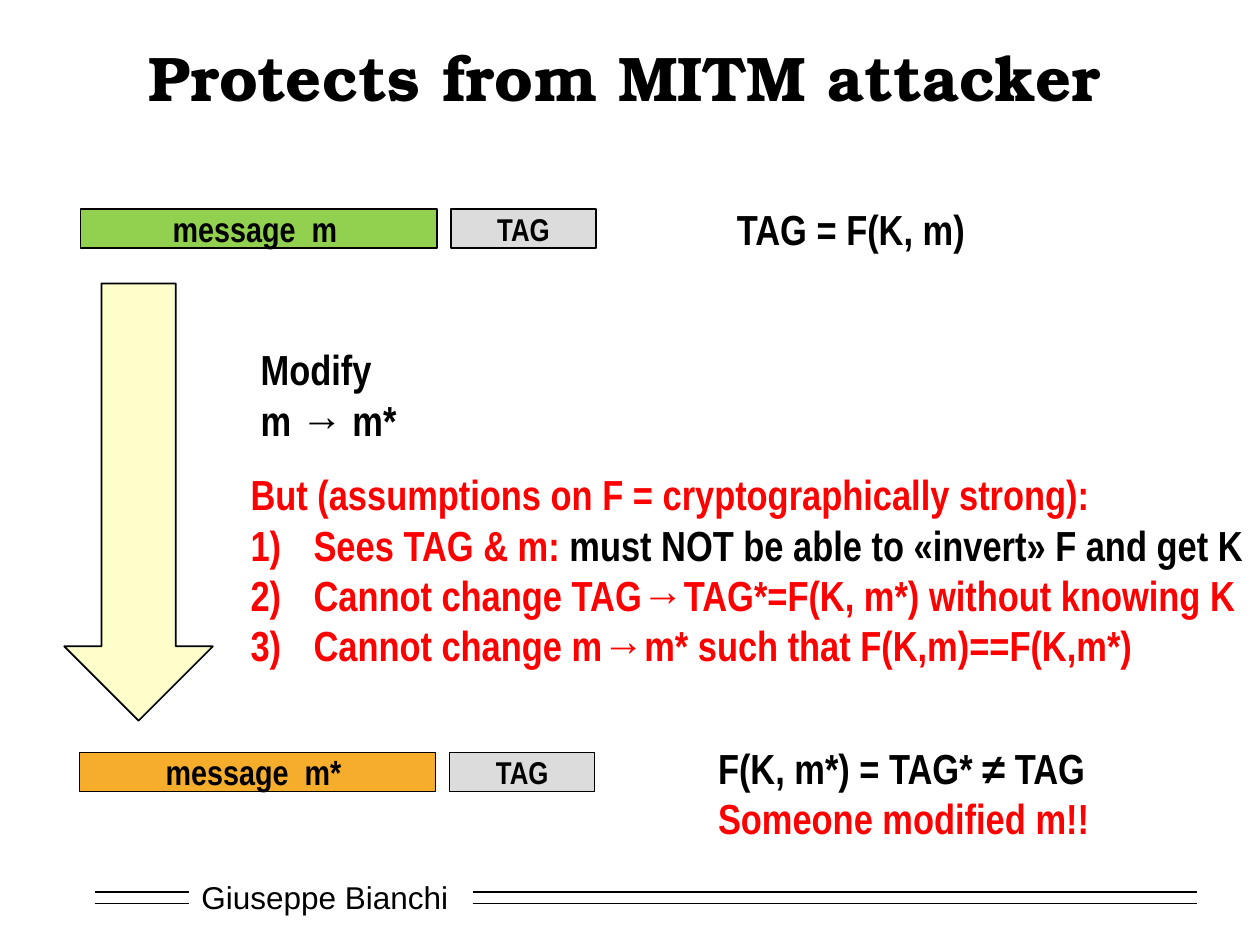
import pptx
import pptx.util
import pptx.dml.color
import pptx.enum.shapes
import pptx.enum.text
import pptx.oxml.ns
from lxml import etree
from pptx.util import Inches

COLORS = {
    "black": "000000", "white": "FFFFFF", "red": "FF0000", "green": "92D050",
    "orange": "F5AD2B", "gray": "DCDCDC", "yellow": "FFFF99",
}
SHAPES = pptx.enum.shapes.MSO_SHAPE
ALIGN = pptx.enum.text.PP_ALIGN
ANCHOR = pptx.enum.text.MSO_ANCHOR
AUTO_SIZE = pptx.enum.text.MSO_AUTO_SIZE


def rgb(name):
    return pptx.dml.color.RGBColor.from_string(COLORS[name])


def add_xml(parent, tag, **attributes):
    return etree.SubElement(parent, pptx.oxml.ns.qn(tag), attributes)


def set_attributes(target, values):
    for name, value in values.items():
        setattr(target, name, value)


def add_run(paragraph, text, size, color="black", font="Arial Narrow", bold=True):
    run = paragraph.add_run()
    run.text = text
    set_attributes(run.font, {"size": pptx.util.Pt(size), "name": font, "bold": bold})
    run.font.color.rgb = rgb(color)


def number_paragraph(paragraph):
    properties = paragraph._p.get_or_add_pPr()
    properties.set("marL", str(Inches(0.5)))
    properties.set("indent", str(-Inches(0.5)))
    add_xml(properties, "a:buFont", typeface="+mj-lt")
    add_xml(properties, "a:buAutoNum", type="arabicParenR")


def add_block(slide, kind, box, fill, line_width=None):
    block = slide.shapes.add_shape(kind, *map(Inches, box))
    block.shadow.inherit = False
    block.fill.solid()
    block.fill.fore_color.rgb = rgb(fill)
    if line_width:
        block.line.color.rgb = rgb("black")
        block.line.width = pptx.util.Pt(line_width)
    else:
        block.line.fill.background()
    return block


def add_label(block, text, size, align=ALIGN.CENTER, wrap=False, **font):
    set_attributes(block.text_frame, {"word_wrap": wrap, "vertical_anchor": ANCHOR.MIDDLE})
    paragraph = block.text_frame.paragraphs[0]
    paragraph.alignment = align
    add_run(paragraph, text, size, **font)


def add_packet(slide, left, top, message, fill):
    """Draw a message field followed by its TAG field."""
    message_field = add_block(slide, SHAPES.RECTANGLE, (left, top, 2.83, 0.31), fill, 0.75)
    add_label(message_field, message, 20)
    tag_field = add_block(slide, SHAPES.RECTANGLE, (left + 2.94, top, 1.15, 0.31), "gray", 0.75)
    add_label(tag_field, "TAG", 18)


def add_note(slide, box, lines, numbered_from=None):
    """Add lines of (text, color) runs, numbering those from the given index on."""
    frame = slide.shapes.add_textbox(*map(Inches, box)).text_frame
    set_attributes(frame, {"word_wrap": False, "auto_size": AUTO_SIZE.SHAPE_TO_FIT_TEXT})
    for index, runs in enumerate(lines):
        paragraph = frame.add_paragraph() if index else frame.paragraphs[0]
        if numbered_from is not None and index >= numbered_from:
            number_paragraph(paragraph)
        for text, color in runs:
            add_run(paragraph, text, 24, color)


def add_rule(slide, start, end, y):
    rule = slide.shapes.add_connector(
        pptx.enum.shapes.MSO_CONNECTOR.STRAIGHT,
        Inches(start), Inches(y), Inches(end), Inches(y))
    rule.line.color.rgb = rgb("black")
    rule.line.width = pptx.util.Pt(1)
    add_xml(rule._element.spPr, "a:effectLst")


def add_footer(slide):
    author = add_block(slide, SHAPES.RECTANGLE, (1.5, 6.92, 2.17, 0.4), "white")
    add_label(author, "Giuseppe Bianchi", 18, ALIGN.LEFT, True, font="Arial", bold=False)
    for y in (7.08, 7.17):
        for start, end in ((0.75, 1.5), (3.75, 9.5)):
            add_rule(slide, start, end, y)


def add_title(slide, text):
    title = slide.shapes.title
    set_attributes(title, {"left": Inches(0.75), "top": Inches(0.25),
                           "width": Inches(8.42), "height": Inches(0.71)})
    title.text_frame.auto_size = AUTO_SIZE.NONE
    add_label(title, text, 36, wrap=True, font="TeX Gyre Bonum")


def add_attack_arrow(slide):
    arrow = add_block(slide, SHAPES.DOWN_ARROW, (0.51, 2.25, 1.18, 3.47), "yellow", 1)
    color = arrow._element.spPr.find(".//" + pptx.oxml.ns.qn("a:srgbClr"))
    add_xml(color, "a:alpha", val="50000")


def main():
    presentation = pptx.Presentation()
    set_attributes(presentation, {"slide_width": Inches(10), "slide_height": Inches(7.5)})
    slide = presentation.slides.add_slide(presentation.slide_layouts[5])

    add_footer(slide)
    add_title(slide, "Protects from MITM attacker")
    add_packet(slide, 0.64, 1.66, "message  m ", "green")
    add_attack_arrow(slide)
    add_packet(slide, 0.63, 5.97, "message  m* ", "orange")

    add_note(slide, (1.97, 2.68, 1.28, 0.91), [[("Modify", "black")], [("m → m*", "black")]])
    add_note(slide, (5.75, 1.57, 2.03, 0.5), [[("TAG = F(K, m)", "black")]])
    add_note(slide, (5.6, 5.84, 3.15, 0.91), [
        [("F(K, m*) = TAG* ≠ TAG", "black")],
        [("Someone modified m!!", "red")],
    ])
    add_note(slide, (1.89, 3.67, 8.17, 1.72), [
        [("But (assumptions on F = cryptographically strong):", "red")],
        [("Sees TAG & m: ", "red"), ("must NOT be able to «invert» F and get K", "black")],
        [("Cannot change TAG→TAG*=F(K, m*) without knowing K", "red")],
        [("Cannot change m→m* such that F(K,m)==F(K,m*)", "red")],
    ], numbered_from=1)

    presentation.save("out.pptx")


if __name__ == "__main__":
    main()
